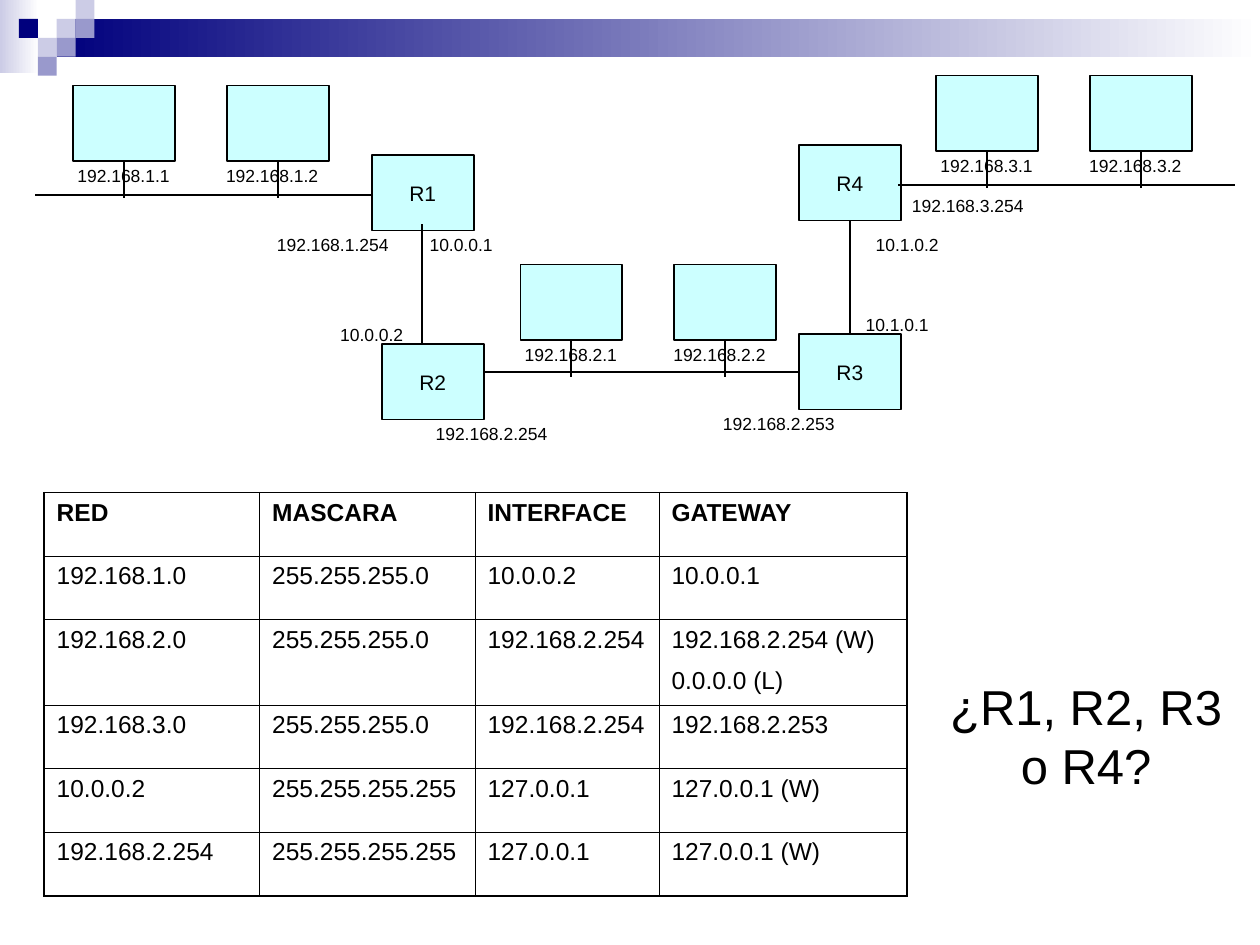
from lxml.etree import SubElement
from pptx import Presentation
from pptx.dml.color import RGBColor
from pptx.enum.shapes import MSO_CONNECTOR as Connector, MSO_SHAPE as Shape
from pptx.enum.text import MSO_ANCHOR as Anchor, PP_ALIGN as Align
from pptx.oxml.ns import qn
from pptx.util import Inches, Pt

BLACK, WHITE, CYAN = "000000", "FFFFFF", "CCFFFF"
NAVY, LILAC, VIOLET = "00007D", "CCCCE6", "9999CC"
NODE_W, NODE_H = 0.81, 0.6
NO_MARGINS = dict.fromkeys(("margin_left", "margin_top", "margin_right", "margin_bottom"), 0)
ROUTES = [
    ["RED", "MASCARA", "INTERFACE", "GATEWAY"],
    ["192.168.1.0", "255.255.255.0", "10.0.0.2", "10.0.0.1"],
    ["192.168.2.0", "255.255.255.0", "192.168.2.254", "192.168.2.254 (W)\n0.0.0.0 (L)"],
    ["192.168.3.0", "255.255.255.0", "192.168.2.254", "192.168.2.253"],
    ["10.0.0.2", "255.255.255.255", "127.0.0.1", "127.0.0.1 (W)"],
    ["192.168.2.254", "255.255.255.255", "127.0.0.1", "127.0.0.1 (W)"],
]
ADDRESSES = [
    ("192.168.1.254", 2.09, 1.86), ("10.0.0.1", 3.11, 1.86),
    ("10.0.0.2", 2.4, 2.57), ("192.168.2.254", 3.35, 3.36),
    ("192.168.2.253", 5.63, 3.28), ("10.1.0.1", 6.57, 2.49),
    ("10.1.0.2", 6.65, 1.86), ("192.168.3.254", 7.13, 1.55),
]


def color(hex_value):
    return RGBColor.from_string(hex_value)


def set_format(target, values):
    for name, value in values.items():
        setattr(target, name, value)


def write(frame, text, size, align=Align.CENTER, bold=False, gap=0):
    frame.text = text
    for index, paragraph in enumerate(frame.paragraphs):
        paragraph.alignment = align
        if index:
            paragraph.space_before = Pt(gap)
        set_format(paragraph.font, {"name": "Arial", "size": Pt(size), "bold": bold})
        paragraph.font.color.rgb = color(BLACK)


def add_block(slide, left, top, width, height):
    block = slide.shapes.add_shape(
        Shape.RECTANGLE, Inches(left), Inches(top), Inches(width), Inches(height))
    block.shadow.inherit = False
    block.line.fill.background()
    return block


def add_wire(slide, x1, y1, x2, y2):
    wire = slide.shapes.add_connector(
        Connector.STRAIGHT, Inches(x1), Inches(y1), Inches(x2), Inches(y2))
    wire.line.color.rgb = color(BLACK)
    wire.line.width = Pt(1)
    SubElement(wire._element.spPr, qn("a:effectLst"))
    return wire


def add_node(slide, left, top, name=""):
    node = add_block(slide, left, top, NODE_W, NODE_H)
    node.fill.solid()
    node.fill.fore_color.rgb = color(CYAN)
    node.line.color.rgb = color(BLACK)
    node.line.width = Pt(1)
    if name:
        set_format(node.text_frame, {"word_wrap": False, "vertical_anchor": Anchor.MIDDLE})
        write(node.text_frame, name, 12)
    return node


def add_address(slide, text, left, top):
    address = slide.shapes.add_textbox(Inches(left), Inches(top), Inches(1.1), Inches(0.17))
    set_format(address.text_frame, {"word_wrap": True, **NO_MARGINS})
    write(address.text_frame, text, 10)


def add_banner(slide, left, top, width):
    for x, y, w, h, start in ((0, 0, 0.31, 0.58, LILAC), (0.45, 0.15, width - 0.45, 0.3, NAVY)):
        band = add_block(slide, left + x, top + y, w, h)
        band.fill.gradient()
        band.fill.gradient_angle = 0
        for stop, shade in zip(band.fill.gradient_stops, (start, WHITE)):
            stop.color.rgb = color(shade)
    tile = 0.15
    for column, row, shade in ((3, 1, LILAC), (4, 0, LILAC), (4, 1, VIOLET), (2, 2, LILAC),
                               (1, 1, NAVY), (3, 2, VIOLET), (2, 3, VIOLET)):
        square = add_block(slide, left + column * tile, top + row * tile, tile, tile)
        square.fill.solid()
        square.fill.fore_color.rgb = color(shade)


def add_lan(slide, left, top, width, height, subnet):
    bus = add_wire(slide, left, top + height, left + width, top + height)
    for index in range(2):
        host_left = left + 0.3 + index * 1.22
        middle = host_left + NODE_W / 2
        host = add_node(slide, host_left, top)
        drop = add_wire(slide, middle, top + NODE_H, middle, top + 0.89)
        drop.begin_connect(host, 2)
        add_address(slide, f"{subnet}.{index + 1}", left + 0.15 + index * 1.18, top + 0.63)
    return bus


def add_network(slide, left, top):
    add_lan(slide, left + 0.28, top + 0.68, 2.67, 0.87, "192.168.1")
    add_node(slide, left + 2.95, top + 1.23, "R1")
    middle_bus = add_lan(slide, left + 3.83, top + 2.1, 2.51, 0.85, "192.168.2")
    add_node(slide, left + 3.03, top + 2.73, "R2")
    add_wire(slide, left + 3.35, top + 1.78, left + 3.35, top + 2.73)
    r3 = add_node(slide, left + 6.34, top + 2.65, "R3")
    r4 = add_node(slide, left + 6.34, top + 1.15, "R4")
    middle_bus.end_connect(r3, 1)
    uplink = add_wire(slide, left + 6.74, top + 1.75, left + 6.74, top + 2.65)
    uplink.begin_connect(r4, 2)
    uplink.end_connect(r3, 0)
    add_lan(slide, left + 7.13, top + 0.6, 2.67, 0.87, "192.168.3")
    for text, x, y in ADDRESSES:
        add_address(slide, text, left + x, top + y)


def add_borders(cell, widths):
    properties = cell._tc.get_or_add_tcPr()
    for position, (side, width) in enumerate(widths.items()):
        border = SubElement(properties, qn(f"a:ln{side}"), w=str(Pt(width)))
        fill = SubElement(border, qn("a:solidFill"))
        SubElement(fill, qn("a:srgbClr"), val=BLACK)
        properties.insert(position, border)


def add_routes(slide, left, top, width, height):
    last_row, last_column = len(ROUTES) - 1, len(ROUTES[0]) - 1
    table = slide.shapes.add_table(
        last_row + 1, last_column + 1,
        Inches(left), Inches(top), Inches(width), Inches(height)).table
    set_format(table, {"first_row": False, "horz_banding": False})
    for column, share in zip(table.columns, (1.71, 1.71, 1.46, 1.97)):
        column.width = Inches(width * share / 6.85)
    tall = 0.68
    for r, route in enumerate(ROUTES):
        is_tall = any("\n" in entry for entry in route)
        table.rows[r].height = Inches(tall if is_tall else (height - tall) / last_row)
        for c, entry in enumerate(route):
            cell = table.cell(r, c)
            cell.fill.background()
            write(cell.text_frame, entry, 14, Align.LEFT, bold=r == 0, gap=8)
            edges = {"L": c == 0, "R": c == last_column, "T": r == 0, "B": r == last_row}
            add_borders(cell, {side: 1.08 if outer else 0.45 for side, outer in edges.items()})


def add_question(slide, left, top, width, height):
    question = slide.shapes.add_textbox(
        Inches(left), Inches(top), Inches(width), Inches(height))
    question.text_frame.word_wrap = True
    write(question.text_frame, "¿R1, R2, R3 o R4?", 28)


def main():
    deck = Presentation()
    set_format(deck, {"slide_width": Inches(10), "slide_height": Inches(7.5)})
    slide = deck.slides.add_slide(deck.slide_layouts[6])
    add_banner(slide, 0, 0, 10)
    add_network(slide, 0, 0)
    add_routes(slide, 0.35, 3.91, 6.85, 3.2)
    add_question(slide, 7.44, 5.32, 2.36, 1.04)
    deck.save("out.pptx")


if __name__ == "__main__":
    main()
